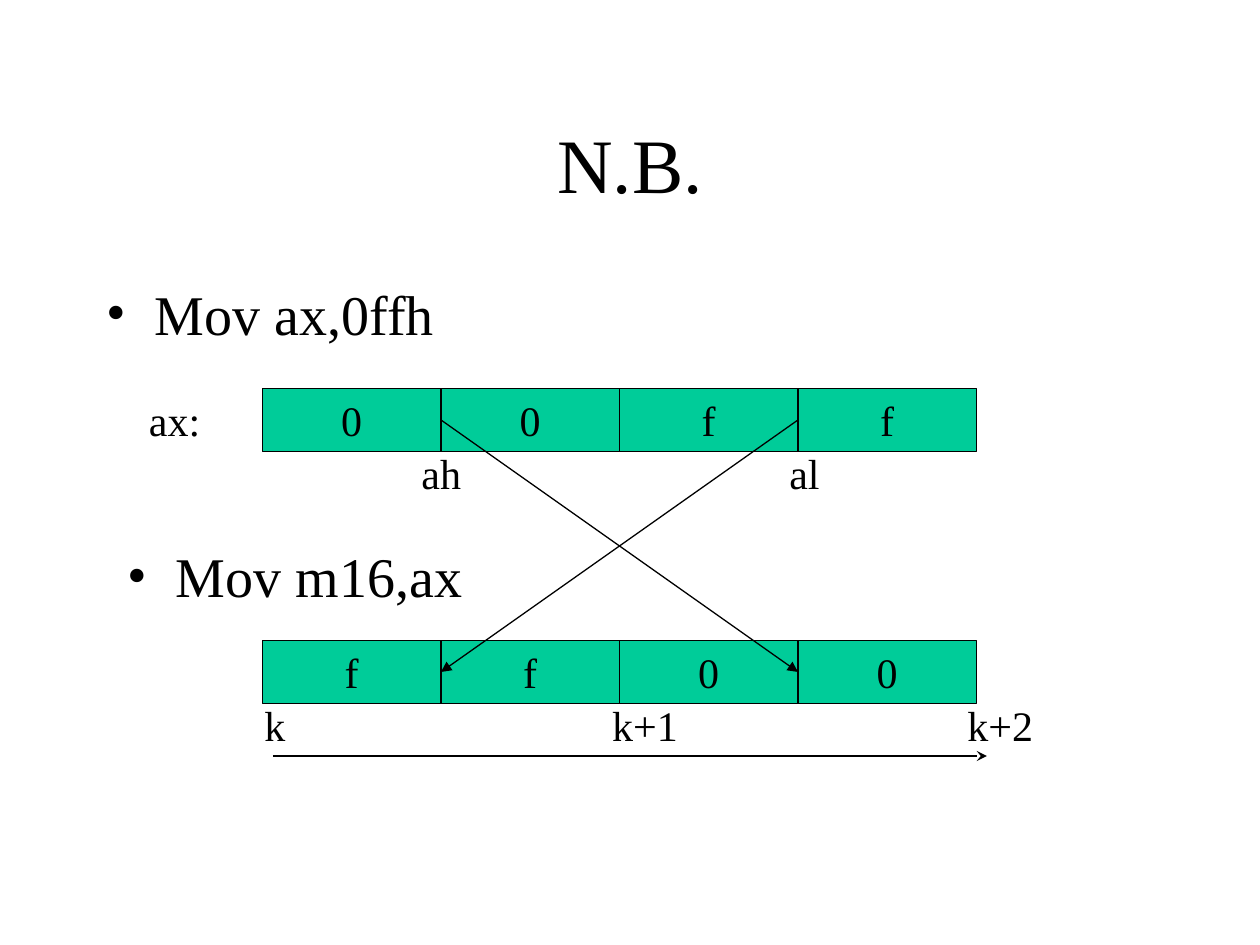
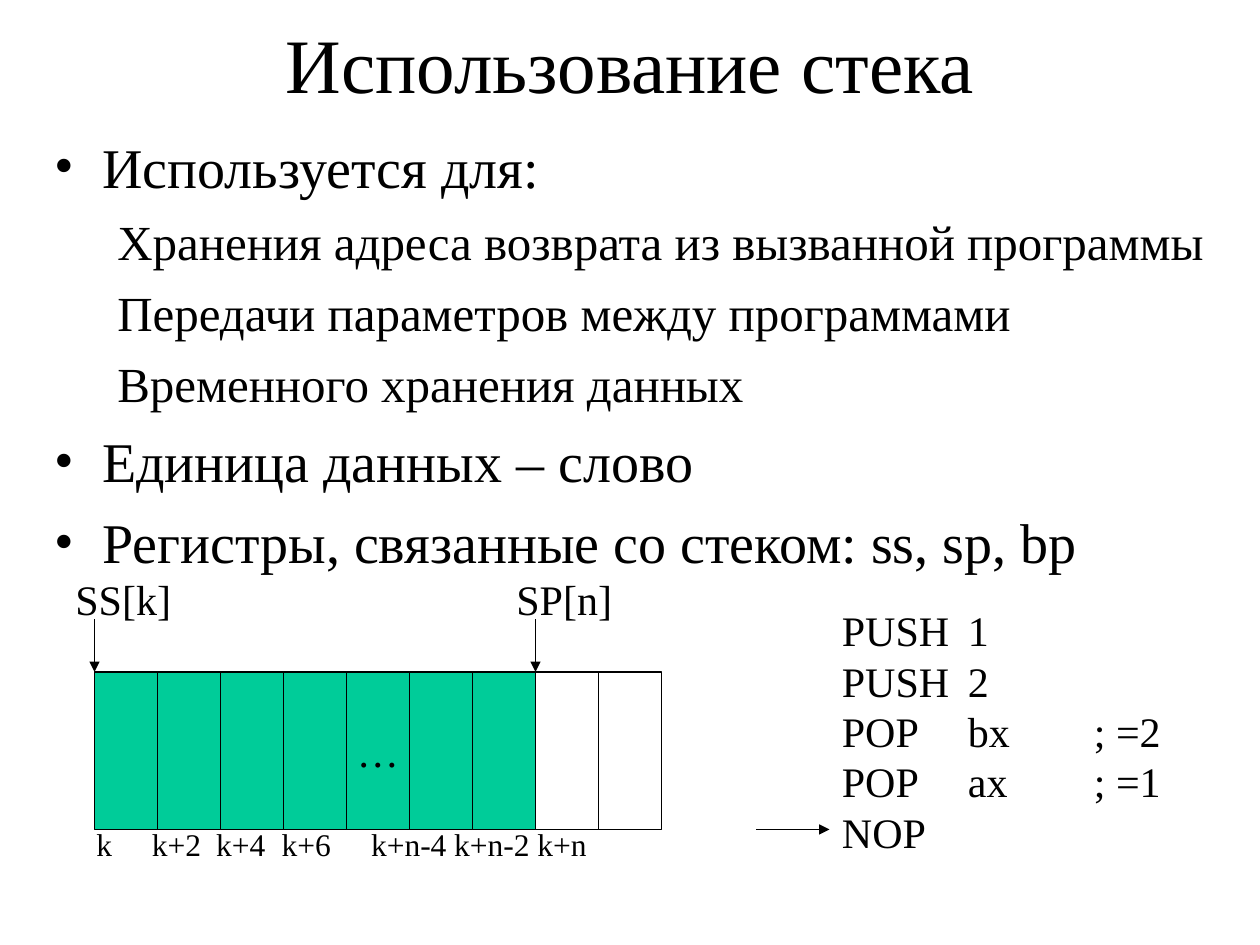
from dataclasses import dataclass
from lxml.etree import SubElement
from pptx import Presentation
from pptx.dml.color import RGBColor
from pptx.enum.shapes import MSO_CONNECTOR, MSO_SHAPE
from pptx.enum.text import MSO_ANCHOR, PP_ALIGN
from pptx.oxml.ns import qn
from pptx.util import Inches, Pt


@dataclass(frozen=True)
class Theme:
    font: str = "Times New Roman"
    ink: RGBColor = RGBColor(0, 0, 0)
    full: RGBColor = RGBColor(0x00, 0xCC, 0x99)
    free: RGBColor = RGBColor(0xFF, 0xFF, 0xFF)
    title: int = 44
    head: int = 32
    sub: int = 28
    label: int = 24
    small: int = 18
    line: float = 0.75


THEME = Theme()
WIDTH, HEIGHT = Inches(10), Inches(7.5)
COLS, ROWS = 120, 90


def grid(col, row):
    return round(WIDTH * col / COLS), round(HEIGHT * row / ROWS)


def style(para, size):
    font = para.font
    font.name, font.size, font.color.rgb = THEME.font, Pt(size), THEME.ink


def indent(para, left, first=0):
    props = para._p.get_or_add_pPr()
    props.set("marL", str(Inches(left)))
    props.set("indent", str(Inches(first)))
    return props


def bullet(para):
    props = indent(para, 0.38, -0.38)
    SubElement(props, qn("a:buFont"), typeface=THEME.font)
    SubElement(props, qn("a:buChar"), char="•")


def set_tabs(para, stops):
    tabs = SubElement(para._p.get_or_add_pPr(), qn("a:tabLst"))
    for stop in stops:
        SubElement(tabs, qn("a:tab"), pos=str(Inches(stop)), algn="l")


def add_box(slide, box):
    col, row, wide, high = box
    frame = slide.shapes.add_textbox(*grid(col, row), *grid(wide, high)).text_frame
    frame.word_wrap = True
    return frame


def add_title(slide, box, text):
    frame = add_box(slide, box)
    frame.vertical_anchor = MSO_ANCHOR.MIDDLE
    para = frame.paragraphs[0]
    para.text, para.alignment = text, PP_ALIGN.CENTER
    style(para, THEME.title)


def add_points(slide, box, points):
    """Write (level, text) pairs: level 0 has a bullet, level 1 is indented."""
    frame = add_box(slide, box)
    for i, (level, text) in enumerate(points):
        para = frame.add_paragraph() if i else frame.paragraphs[0]
        para.text = text
        para.space_before = Pt(7 if level else 8)
        if level:
            indent(para, 0.5)
        else:
            bullet(para)
        style(para, THEME.sub if level else THEME.head)


def add_lines(slide, box, lines, stops=(), size=THEME.label):
    """Write lines whose tabs fall on the given stops, in inches."""
    frame = add_box(slide, box)
    for i, text in enumerate(lines):
        para = frame.add_paragraph() if i else frame.paragraphs[0]
        para.text = text
        set_tabs(para, stops)
        style(para, size)


def add_cells(slide, box, texts, used):
    """Split the box into equal cells, the first ones of which are in use."""
    col, row, wide, high = box
    step = wide / len(texts)
    for i, text in enumerate(texts):
        cell = slide.shapes.add_shape(
            MSO_SHAPE.RECTANGLE, *grid(col + i * step, row), *grid(step, high))
        cell.shadow.inherit = False
        cell.fill.solid()
        cell.fill.fore_color.rgb = THEME.full if i < used else THEME.free
        cell.line.color.rgb, cell.line.width = THEME.ink, Pt(THEME.line)
        if text:
            frame = cell.text_frame
            frame.word_wrap = False
            frame.vertical_anchor = MSO_ANCHOR.MIDDLE
            para = frame.paragraphs[0]
            para.text, para.alignment = text, PP_ALIGN.CENTER
            style(para, THEME.label)


def add_arrow(slide, start, end, tip="triangle"):
    arrow = slide.shapes.add_connector(
        MSO_CONNECTOR.STRAIGHT, *grid(*start), *grid(*end))
    arrow.line.color.rgb, arrow.line.width = THEME.ink, Pt(THEME.line)
    SubElement(arrow.line._get_or_add_ln(), qn("a:tailEnd"), type=tip)
    SubElement(arrow._element.spPr, qn("a:effectLst"))


def add_swap(slide, box):
    """Show a register above, memory below, and the bytes that change places."""
    col, row, wide, high = box
    low, mid = row + 24, high / 2
    add_cells(slide, (col, row, wide, high), "00ff", 4)
    add_lines(slide, (col - 12, row, 10, 6), ["ax:"])
    add_cells(slide, (col, low, wide, high), "ff00", 4)
    add_lines(slide, (col - 1, low + 5, 78, 6), ["k\tk+1\tk+2"], (2.76, 5.58))
    add_arrow(slide, (col + 1, low + 11), (col + 1 + wide, low + 11), "stealth")
    add_lines(slide, (col + 1, row + 5, 68, 6), ["\tah\tal"], (1.08, 4))
    left, right = col + wide / 4, col + wide * 3 / 4
    for start, end in ((left, right), (right, left)):
        add_arrow(slide, (start, row + mid), (end, low + mid))


def add_stack(slide, box):
    """Draw the stack with its two pointers above and addresses below."""
    col, row, wide, high = box
    texts = [""] * 9
    texts[4] = "…"
    used = 7
    add_cells(slide, box, texts, used)
    add_lines(slide, (col - 1, row + high - 1, 58, 5),
              ["k\tk+2\tk+4\tk+6\tk+n-4\tk+n-2\tk+n"],
              (0.44, 0.95, 1.47, 2.18, 2.84, 3.5), THEME.small)
    add_lines(slide, (col - 3, row - 10, 61, 6), ["SS[k]\tSP[n]"], (3.5,))
    for mark in (col, col + wide * used / len(texts)):
        add_arrow(slide, (mark, row - 5), (mark, row))


def add_code(slide, box):
    col, row, wide, high = box
    add_lines(slide, box, ["PUSH\t1", "PUSH\t2", "POP\tbx\t; =2",
                           "POP\tax\t; =1", "NOP"], (1, 2))
    add_arrow(slide, (col - 7, row + 22), (col, row + 22))


def build_swap(slide):
    add_title(slide, (9, 8, 102, 15), "N.B.")
    add_points(slide, (9, 26, 102, 24), [(0, "Mov ax,0ffh")])
    add_points(slide, (11, 51, 102, 24), [(0, "Mov m16,ax")])
    add_swap(slide, (25, 37, 68, 6))


def build_stack(slide):
    add_title(slide, (9, 3, 102, 6), "Использование стека")
    add_points(slide, (4, 12, 113, 45), [
        (0, "Используется для:"),
        (1, "Хранения адреса возврата из вызванной программы"),
        (1, "Передачи параметров между программами"),
        (1, "Временного хранения данных"),
        (0, "Единица данных – слово"),
        (0, "Регистры, связанные со стеком: ss, sp, bp"),
    ])
    add_stack(slide, (9, 64, 54, 15))
    add_code(slide, (79, 57, 38, 25))


def main():
    deck = Presentation()
    deck.slide_width, deck.slide_height = WIDTH, HEIGHT
    for build in (build_swap, build_stack):
        build(deck.slides.add_slide(deck.slide_layouts[6]))
    deck.save("out.pptx")


if __name__ == "__main__":
    main()
